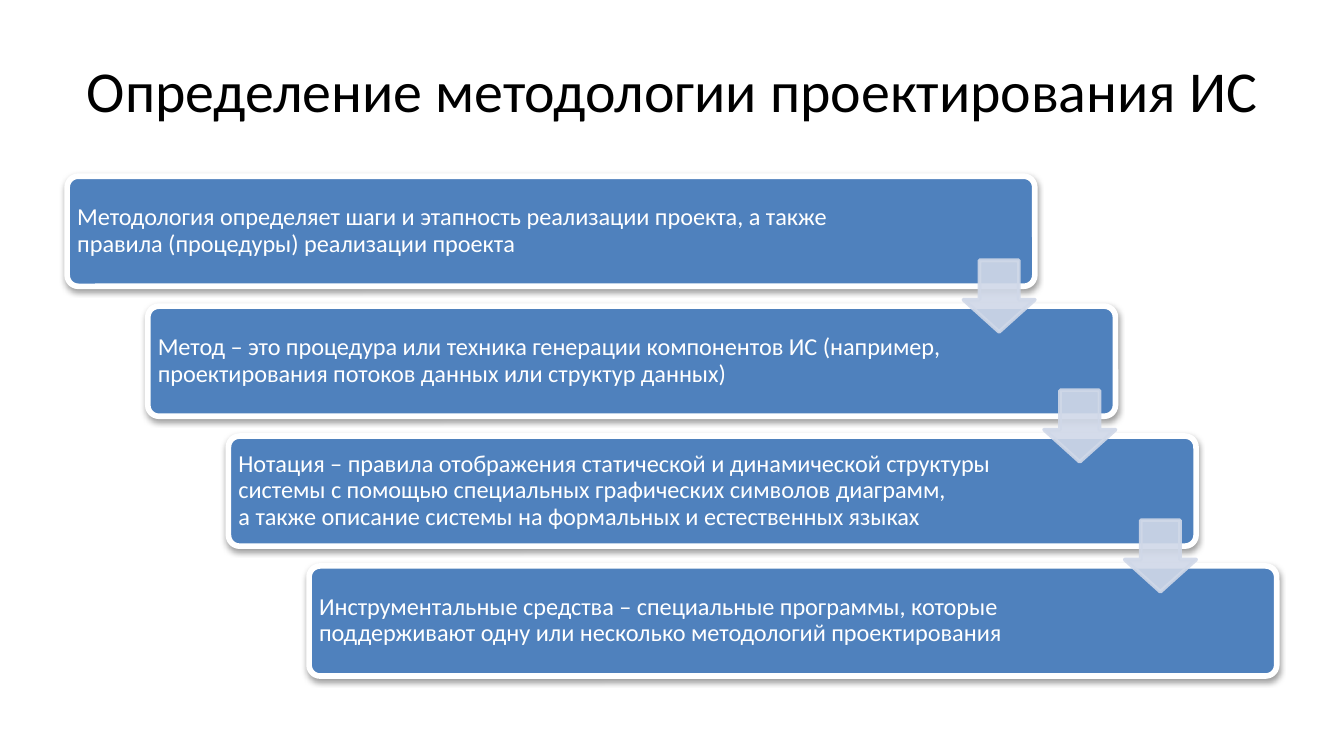
import lxml.etree
import pptx
import pptx.dml.color
import pptx.enum.shapes
import pptx.enum.text
import pptx.oxml
import pptx.oxml.ns
import pptx.util

Pt = pptx.util.Pt
SHAPES = pptx.enum.shapes.MSO_SHAPE
ALIGN = pptx.enum.text.PP_ALIGN
qn = pptx.oxml.ns.qn

TITLE = "Определение методологии проектирования ИС"
# Text of each step and the width of its text area
STEPS = [
    ("Методология определяет шаги и этапность реализации проекта, а также "
     "правила (процедуры) реализации проекта", 450),
    ("Метод – это процедура или техника генерации компонентов ИС (например, "
     "проектирования потоков данных или структур данных)", 433.6),
    ("Нотация – правила отображения статической и динамической структуры "
     "системы с помощью специальных графических символов диаграмм, \n"
     "а также описание системы на формальных и естественных языках", 433.6),
    ("Инструментальные средства – специальные программы, которые "
     "поддерживают одну или несколько методологий проектирования", 433.6),
]

FONT = "Calibri"
BLUE, PALE, WHITE, BLACK = "4F81BD", "D0D8E8", "FFFFFF", "000000"
LEFT, TOP = 36, 94.4
STEP_X, STEP_Y = 43.2, 69.6
CARD_W, CARD_H = 518.4, 59
TEXT_GAP = 1.75
ARROW_SIZE, ARROW_X, ARROW_Y = 38.3, 480.1, 45.1

SHADOW = (
    '<a:outerShdw xmlns:a="http://schemas.openxmlformats.org/drawingml/2006/main" '
    f'blurRad="{Pt(3.1)}" dist="{Pt(1.6)}" dir="5400000" rotWithShape="0">'
    '<a:srgbClr val="000000"><a:alpha val="38000"/></a:srgbClr></a:outerShdw>'
)


def color(value):
    return pptx.dml.color.RGBColor.from_string(value)


def add_text(page, text, bounds, size, ink, inset, align):
    box = page.shapes.add_textbox(*map(Pt, bounds))
    frame = box.text_frame
    frame.word_wrap = True
    frame.vertical_anchor = pptx.enum.text.MSO_ANCHOR.MIDDLE
    frame.margin_left = frame.margin_right = Pt(inset)
    frame.margin_top = frame.margin_bottom = Pt(3.6)
    para = frame.paragraphs[0]
    para.text = text
    para.alignment = align
    para.line_spacing = 0.9
    para.font.name = FONT
    para.font.size = Pt(size)
    para.font.color.rgb = color(ink)


def add_block(page, kind, bounds, adjustments, fill, line, line_width):
    block = page.shapes.add_shape(kind, *map(Pt, bounds))
    for index, value in enumerate(adjustments):
        block.adjustments[index] = value
    block.fill.solid()
    block.fill.fore_color.rgb = color(fill)
    block.line.color.rgb = color(line)
    block.line.width = Pt(line_width)
    block.shadow.inherit = False
    return block


def add_card(page, x, y):
    card = add_block(page, SHAPES.ROUNDED_RECTANGLE, (x, y, CARD_W, CARD_H),
                     [0.1], BLUE, WHITE, 3)
    effects = card._element.spPr.find(qn("a:effectLst"))
    effects.append(pptx.oxml.parse_xml(SHADOW))


def add_arrow(page, x, y):
    """Add a down arrow whose fill and line are 90 % opaque."""
    arrow = add_block(page, SHAPES.DOWN_ARROW, (x, y, ARROW_SIZE, ARROW_SIZE),
                      [0.55, 0.45], PALE, PALE, 2)
    for paint in arrow._element.spPr.iter(qn("a:srgbClr")):
        lxml.etree.SubElement(paint, qn("a:alpha"), val="90000")


def main():
    deck = pptx.Presentation()
    deck.slide_width, deck.slide_height = Pt(720), Pt(405)
    page = deck.slides.add_slide(deck.slide_layouts[6])

    add_text(page, TITLE, (36, 16.4, 648, 67.6), 31, BLACK, 7.2, ALIGN.CENTER)

    corners = [(LEFT + i * STEP_X, TOP + i * STEP_Y) for i in range(len(STEPS))]
    for (text, width), (x, y) in zip(STEPS, corners):
        add_card(page, x, y)
        bounds = (x + TEXT_GAP, y + TEXT_GAP, width, CARD_H - 2 * TEXT_GAP)
        add_text(page, text, bounds, 13, WHITE, 3.6, ALIGN.LEFT)
    for x, y in corners[:-1]:
        add_arrow(page, x + ARROW_X, y + ARROW_Y)

    deck.save("out.pptx")


if __name__ == "__main__":
    main()
